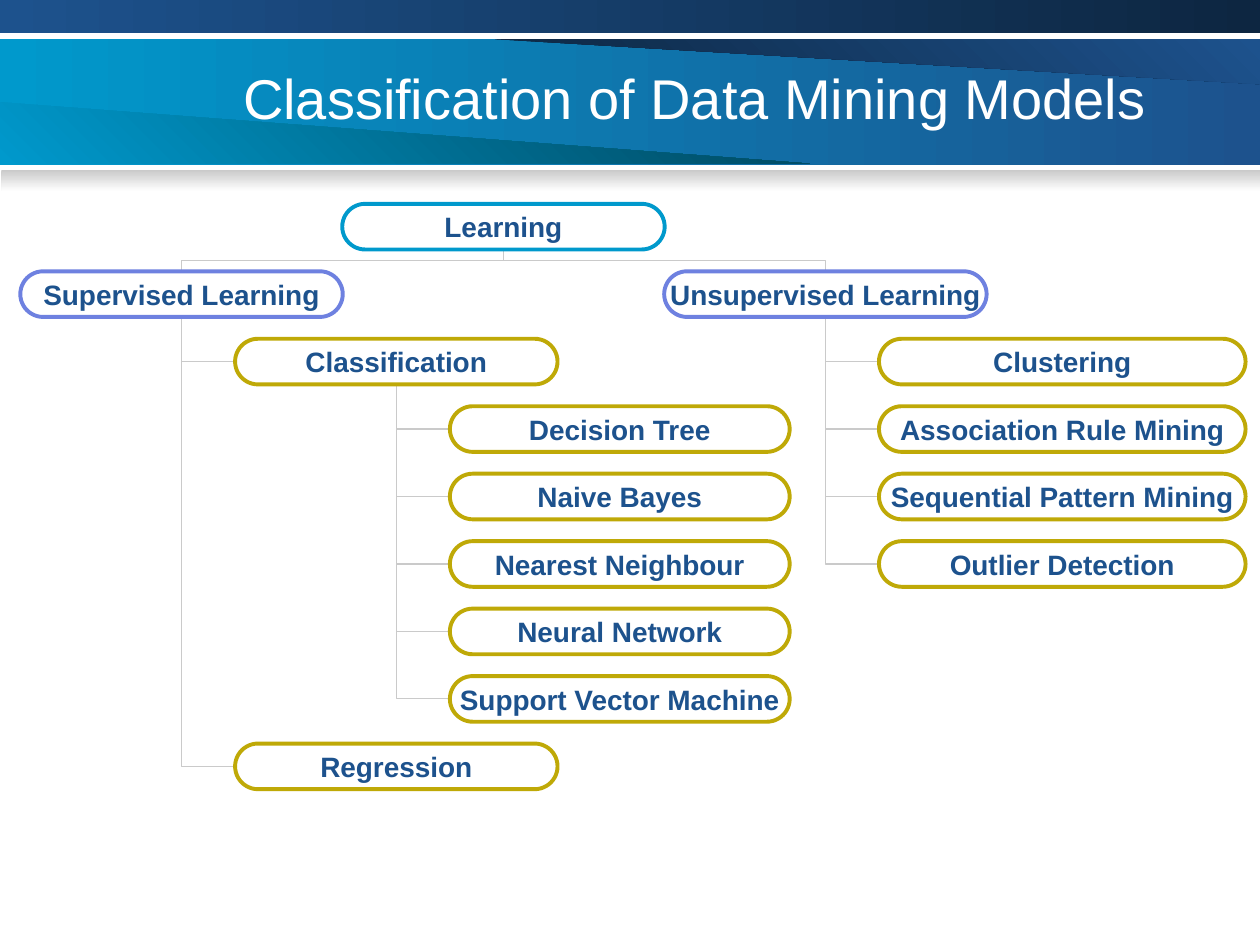
import pptx
import pptx.util
import pptx.dml.color
import pptx.enum.shapes
import pptx.enum.text
import lxml.etree

Cm = pptx.util.Cm
Pt = pptx.util.Pt
Shape = pptx.enum.shapes.MSO_SHAPE
Anchor = pptx.enum.text.MSO_ANCHOR
Align = pptx.enum.text.PP_ALIGN

TITLE = "Classification of Data Mining Models"
ROOT = "Learning"
TREE = [
    ("Supervised Learning", 0.41, [
        ("Classification", 6.5, [
            ("Decision Tree", 6.85, []),
            ("Naive Bayes", 6.85, []),
            ("Nearest Neighbour", 6.85, []),
            ("Neural Network", 6.85, []),
            ("Support Vector Machine", 6.85, []),
        ]),
        ("Regression", 6.5, []),
    ]),
    ("Unsupervised Learning", 13.39, [
        ("Clustering", 7.39, []),
        ("Association Rule Mining", 7.39, []),
        ("Sequential Pattern Mining", 7.39, []),
        ("Outlier Detection", 7.39, []),
    ]),
]

THEME = {
    "font": "Arial", "title": 32, "label": 16, "edge": 2.25, "link": 0.75,
    "white": "FFFFFF", "grey": "CACACA", "blue": "1D528D", "navy": "0D2641",
    "cyan": "0099CC", "teal": "00475E", "violet": "6E81E0", "gold": "BFA907",
}

BANNER = [
    ([(0, 0.79), (25.4, 0.79), (25.4, 3.33), (0, 3.33)], "cyan", "blue", 0),
    ([(24.94, 0.79), (9.98, 0.79), (25.4, 1.7), (25.4, 0.79)], "navy", "blue", 45),
    ([(0.48, 3.3), (16.33, 3.3), (0, 2.06), (0, 3.3)], "cyan", "teal", 45),
    ([(0, 0), (25.4, 0), (25.4, 0.66), (0, 0.66)], "blue", "navy", 0),
    ([(0.03, 3.43), (25.4, 3.43), (25.4, 3.86), (0.03, 3.86)], "grey", "white", 270),
]

TOP, PITCH, WIDE, HIGH, INDENT = 4.11, 1.36, 6.5, 0.92, 1.08


def color(name):
    return pptx.dml.color.RGBColor.from_string(THEME[name])


def style(frame, size, tint, bold):
    font = frame.paragraphs[0].runs[0].font
    font.name, font.size, font.bold = THEME["font"], Pt(THEME[size]), bold
    font.color.rgb = color(tint)


def band(slide, points, first, last, angle):
    dots = [(Cm(x), Cm(y)) for x, y in points]
    xs, ys = [x for x, y in points], [y for x, y in points]
    if (min(xs), min(ys)) == points[0]:
        shape = slide.shapes.add_shape(
            Shape.RECTANGLE, *dots[0], Cm(max(xs) - min(xs)), Cm(max(ys) - min(ys)))
    else:
        build = slide.shapes.build_freeform(*dots[0])
        build.add_line_segments(dots[1:], close=True)
        shape = build.convert_to_shape()
    shape.shadow.inherit = False
    shape.line.fill.background()
    shape.fill.gradient()
    shape.fill.gradient_angle = angle
    for stop, name in zip(shape.fill.gradient_stops, (first, last)):
        stop.color.rgb = color(name)


def node(slide, text, left, row, wide, tint):
    box = slide.shapes.add_shape(
        Shape.ROUNDED_RECTANGLE, Cm(left), Cm(TOP + row * PITCH), Cm(wide), Cm(HIGH))
    box.adjustments[0] = 0.5
    box.shadow.inherit = False
    box.fill.background()
    box.line.color.rgb = color(tint)
    box.line.width = Pt(THEME["edge"])
    frame = box.text_frame
    frame.margin_left = frame.margin_right = frame.margin_top = frame.margin_bottom = 0
    frame.word_wrap = False
    frame.vertical_anchor = Anchor.MIDDLE
    frame.text = text
    frame.paragraphs[0].alignment = Align.CENTER
    style(frame, "label", "blue", True)
    return box


def link(slide, child, parent, site):
    line = slide.shapes.add_connector(
        pptx.enum.shapes.MSO_CONNECTOR.ELBOW, 0, 0, 0, 0)
    line.begin_connect(child, site)
    line.end_connect(parent, 2)
    line.line.color.rgb = color("grey")
    line.line.width = Pt(THEME["link"])
    props = line.element.spPr
    lxml.etree.SubElement(props, pptx.oxml.ns.qn("a:effectLst"))
    if site == 1:
        props.find(pptx.oxml.ns.qn("a:prstGeom")).set("prst", "bentConnector2")
    else:
        right = child.left > parent.left
        midx, midy = line.left + line.width // 2, line.top + line.height // 2
        line.width, line.height = line.height, line.width
        line.left, line.top = midx - line.width // 2, midy - line.height // 2
        frame = props.find(pptx.oxml.ns.qn("a:xfrm"))
        frame.set("rot", str((270 if right else 90) * 60000))
        frame.set("flipH", "0" if right else "1")
        frame.set("flipV", "1")
    parent.element.addprevious(line.element)


def grow(slide, parent, left, row, kids):
    for text, wide, below in kids:
        box = node(slide, text, left, row, wide, "gold")
        link(slide, box, parent, 1)
        row = grow(slide, box, left + wide / 2 + INDENT, row + 1, below)
    return row


def main():
    deck = pptx.Presentation()
    deck.slide_width, deck.slide_height = Cm(25.4), Cm(19.05)
    slide = deck.slides.add_slide(deck.slide_layouts[6])
    for item in BANNER:
        band(slide, *item)

    head = slide.shapes.add_textbox(Cm(4.65), Cm(0.76), Cm(19.05), Cm(2.41)).text_frame
    head.word_wrap = True
    head.vertical_anchor = Anchor.MIDDLE
    head.text = TITLE
    style(head, "title", "white", False)

    lefts = [left for text, left, kids in TREE]
    root = node(slide, ROOT, sum(lefts) / len(lefts), 0, WIDE, "cyan")
    for text, left, kids in TREE:
        box = node(slide, text, left, 1, WIDE, "violet")
        link(slide, box, root, 0)
        grow(slide, box, left + WIDE / 2 + INDENT, 2, kids)
    deck.save("out.pptx")


if __name__ == "__main__":
    main()
